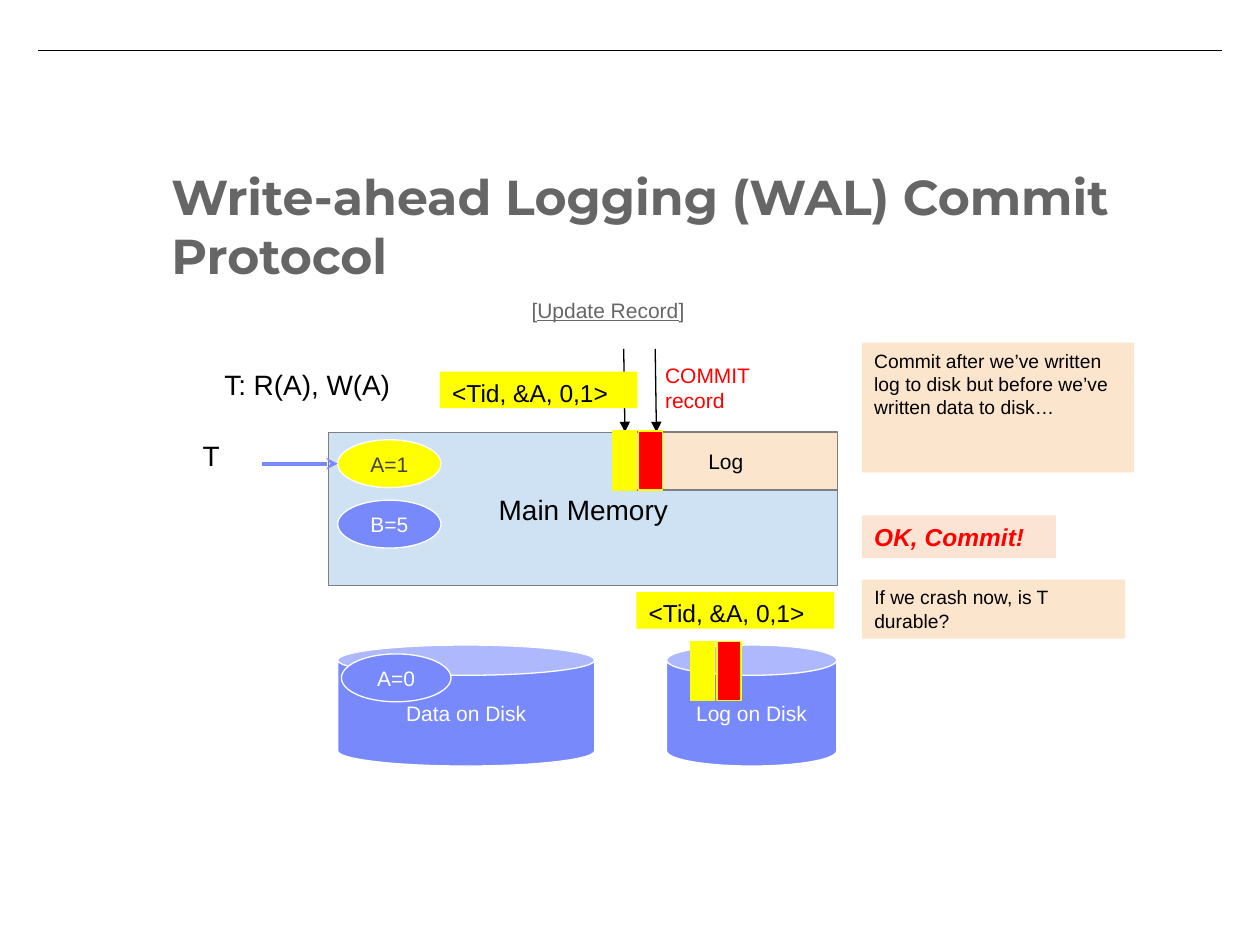
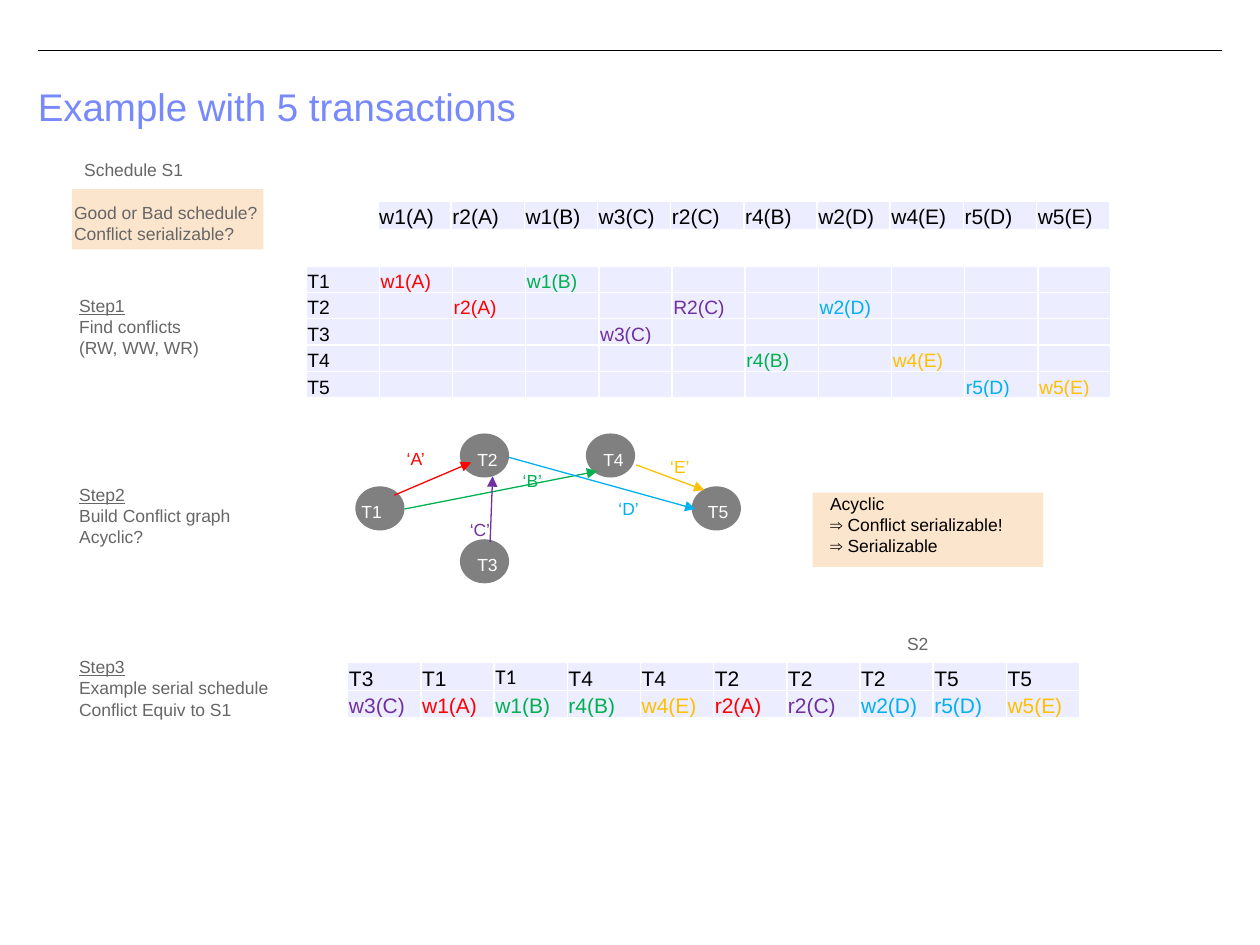
from lxml import etree
from pptx import Presentation
from pptx import util as u
from pptx.dml.color import RGBColor
from pptx.enum import shapes, text
from pptx.oxml.ns import qn

W, H = 10, 7.5
HEX = dict(black="000000", white="FFFFFF", grey="666666", dark="434343", node="808080",
           edge="7F7F7F", blue="7889FB", sky="CFE2F3", peach="FCE5CD", rose="FBE4D4",
           yellow="FFFF00", red="FF0000", green="00B050", purple="7030A0",
           cyan="00B0F0", gold="FFC000", cell="ECEDFE")
KIND = shapes.MSO_SHAPE
TOP, MID, LOW = text.MSO_ANCHOR.TOP, text.MSO_ANCHOR.MIDDLE, text.MSO_ANCHOR.BOTTOM
LEFT, CENTER = text.PP_ALIGN.LEFT, text.PP_ALIGN.CENTER

# ---- Slide 1 content: (outline, box, fill, line, text, format); bars underline text
WAL_TITLE = "Write-ahead Logging (WAL) Commit Protocol"
MID_TEXT = dict(size=12, anchor=MID, align=CENTER)
ON_BLUE = dict(MID_TEXT, color="white")
HEADING = dict(size=16, align=CENTER)
NOTE = dict(size=11)
ENTRY = "<Tid, &A, 0,1>"
NOTE_X, OVAL_X, OVAL_W, OVAL_H = 6.84, 2.68, 0.82, 0.38
DISK_Y, DISK_H, MEM_Y = 5.12, 0.96, 3.43
MEMORY = [
    (KIND.CAN, (OVAL_X, DISK_Y, 2.04, DISK_H), "blue", "white", "Data on Disk", ON_BLUE),
    (KIND.RECTANGLE, (2.61, MEM_Y, 4.04, 1.22), "sky", "edge", "Main Memory",
     dict(MID_TEXT, size=16)),
    (KIND.CAN, (5.29, DISK_Y, 1.35, DISK_H), "blue", "white", "Log on Disk", ON_BLUE),
    (KIND.RECTANGLE, (4.87, MEM_Y, 1.78, 0.46), "peach", "edge", "Log", MID_TEXT),
    (None, (1.26, MEM_Y, 0.89, 0.37), None, None, "T ", HEADING),
    (KIND.OVAL, (OVAL_X, 3.49, OVAL_W, OVAL_H), "yellow", "white", "A=1",
     dict(MID_TEXT, color="dark")),
    (KIND.OVAL, (OVAL_X, 3.97, OVAL_W, OVAL_H), "blue", "white", "B=5", ON_BLUE),
    (KIND.OVAL, (2.71, 5.19, 0.87, OVAL_H), "blue", "white", "A=0", ON_BLUE),
    (None, (1.26, 2.87, 2.42, 0.37), None, None, "T: R(A), W(A) ", HEADING),
    (KIND.RECTANGLE, (NOTE_X, 2.72, 2.16, 1.03), "peach", None,
     "Commit after we’ve written log to disk but before we’ve written data to disk…", NOTE),
    (KIND.RECTANGLE, (NOTE_X, 4.6, 2.09, 0.47), "peach", None,
     "If we crash now, is T durable?", NOTE),
    (KIND.RECTANGLE, (NOTE_X, 4.09, 1.54, 0.34), "rose", None, "OK, Commit!",
     dict(size=14, color="red", bold=True, italic=True)),
]
WAL_ARROWS = [  # start, end, colour, width, head
    ((2.08, 3.68), (OVAL_X, 3.68), "blue", 2.25, "stealth"),
    ((4.95, 2.77), (4.96, MEM_Y), "black", 0.75, "triangle"),
    ((5.2, 2.77), (5.21, MEM_Y), "black", 0.75, "triangle"),
]
WAL_LABELS = [
    (None, (5.18, 2.83, 1.12, 0.3), None, None, "COMMIT record", dict(size=12, color="red")),
    (None, (4.12, 2.31, 1.78, 0.29), None, None, "[|Update Record|]",
     dict(size=12, color="grey")),
]
ENTRIES = [(3.49, 2.95), (5.05, 4.7)]
RECORD_PAIRS = [(4.86, 3.42), (5.48, 5.09)]
RECORD_STEP = 0.21

# ---- Slide 2 content
TX_TITLE = "Example with 5 transactions"
ITEM_COLOR = dict(A="red", B="green", C="purple", D="cyan", E="gold")
S1 = "w1(A) r2(A) w1(B) w3(C) r2(C) r4(B) w2(D) w4(E) r5(D) w5(E)".split()
S2 = "w3(C) w1(A) w1(B) r4(B) w4(E) r2(A) r2(C) w2(D) r5(D) w5(E)".split()
GRID_SPELLING = {"r2(C)": "R2(C)"}
TRANSACTIONS = ["T1", "T2", "T3", "T4", "T5"]
COL_W = 5.81 / len(S1)
NODE_W, NODE_H = 0.39, 0.35
NODES = {  # place, shift of the name
    "T1": (2.82, 3.86, -0.05), "T2": (3.65, 3.44, 0.04), "T3": (3.65, 4.28, 0.04),
    "T4": (4.65, 3.44, 0.04), "T5": (5.49, 3.86, 0.03),
}
EDGES = {  # start, end, label box
    "A": ((3.13, 3.93), (3.74, 3.67), (3.13, 3.54, 0.36, 0.2)),
    "B": ((3.21, 4.04), (4.74, 3.74), (4.05, 3.71, 0.36, 0.2)),
    "C": ((3.89, 4.3), (3.91, 3.78), (3.63, 4.12, 0.45, 0.17)),
    "D": ((4.04, 3.63), (5.52, 4.04), (4.81, 3.95, 0.45, 0.17)),
    "E": ((5.05, 3.69), (5.59, 3.89), (5.22, 3.62, 0.45, 0.17)),
}
SMALL = dict(size=10, pad=0.1)
STEP = dict(SMALL, color="grey")
STEP_X = 0.53
STEPS = [
    (None, (0.57, 1.16, 2.43, 0.29), None, None, "Schedule S1", STEP),
    (None, (STEP_X, 2.24, 2.43, 0.29), None, None,
     "|Step1|\nFind conflicts\n(RW, WW, WR)", STEP),
    (None, (STEP_X, 3.74, 1.68, 0.67), None, None,
     "|Step2|\nBuild Conflict graph\nAcyclic?", STEP),
    (None, (7.1, 4.92, 1.41, 0.41), None, None, "S2", STEP),
    (None, (STEP_X, 5.11, 1.83, 0.75), None, None,
     "|Step3|\nExample serial schedule\nConflict Equiv to S1", STEP),
    (KIND.RECTANGLE, (0.57, 1.5, 1.52, 0.48), "peach", None, "", {}),
    (None, (0.49, 1.5, 2.43, 0.29), None, None,
     "Good or Bad schedule?\nConflict serializable?", STEP),
    (KIND.RECTANGLE, (6.45, 3.91, 1.83, 0.59), "peach", None, "", {}),
    (None, (6.49, 3.91, 1.97, 0.51), None, None,
     "Acyclic\n⇒ Conflict serializable!\n⇒ Serializable", dict(SMALL, anchor=MID)),
]


def rgb(name):
    return RGBColor.from_string(HEX[name])


def inches(values):
    return [u.Inches(v) for v in values]


def set_font(font, size, color="black", name="Arial", **flags):
    values = dict(size=u.Pt(size), name=name, **flags)
    for key, value in values.items():
        setattr(font, key, value)
    font.color.rgb = rgb(color)


def write(tf, content, anchor=TOP, align=LEFT, pad=None, spacing=None, **font):
    """Fill a text frame; newlines part paragraphs, bars enclose underlined text."""
    side, top = (0.1, 0.05) if pad is None else (pad, pad)
    frame = dict(word_wrap=True, auto_size=text.MSO_AUTO_SIZE.NONE, vertical_anchor=anchor,
                 margin_left=u.Inches(side), margin_right=u.Inches(side),
                 margin_top=u.Inches(top), margin_bottom=u.Inches(top))
    for key, value in frame.items():
        setattr(tf, key, value)
    for i, line in enumerate(content.split("\n")):
        p = tf.paragraphs[0] if i == 0 else tf.add_paragraph()
        p.alignment = align
        if spacing:
            p.line_spacing = spacing
        for j, part in enumerate(line.split("|")):
            if part:
                r = p.add_run()
                r.text = part
                set_font(r.font, underline=j % 2 == 1, **font)


def add_item(s, outline, box, fill, line, content, fmt):
    """Add a preset shape, or a text box when there is no outline."""
    if outline is None:
        sp = s.shapes.add_textbox(*inches(box))
    else:
        sp = s.shapes.add_shape(outline, *inches(box))
        sp.shadow.inherit = False
        sp.fill.solid()
        sp.fill.fore_color.rgb = rgb(fill)
        if line:
            sp.line.color.rgb = rgb(line)
            sp.line.width = u.Pt(0.75)
        else:
            sp.line.fill.background()
    if content:
        write(sp.text_frame, content, **fmt)


def add_line(s, start, end, color, width=0.75, head=None):
    cx = s.shapes.add_connector(shapes.MSO_CONNECTOR.STRAIGHT, *inches(start + end))
    cx.line.color.rgb = rgb(color)
    cx.line.width = u.Pt(width)
    if head:
        etree.SubElement(cx.line._get_or_add_ln(), qn("a:tailEnd"), type=head)
    etree.SubElement(cx._element.spPr, qn("a:effectLst"))


def add_grid(s, left, top, row_h, rows, size):
    """Add a table whose cells are (text, colour) or (text, colour, font name)."""
    n = len(rows[0])
    box = inches((left, top, COL_W * n, row_h * len(rows)))
    table = s.shapes.add_table(len(rows), n, *box).table
    table.first_row = table.horz_banding = False
    for column in table.columns:
        column.width = u.Inches(COL_W)
    for row, entries in zip(table.rows, rows):
        row.height = u.Inches(row_h)
        for cell, (content, color, *name) in zip(row.cells, entries):
            cell.margin_left = cell.margin_right = cell.margin_top = u.Inches(0.01)
            cell.margin_bottom = 0
            cell.vertical_anchor = LOW
            for side in "LRTB":
                ln = etree.SubElement(cell._tc.tcPr, qn("a:ln" + side), w=str(u.Pt(1)))
                solid = etree.SubElement(ln, qn("a:solidFill"))
                etree.SubElement(solid, qn("a:srgbClr"), val=HEX["white"])
            cell.fill.solid()
            cell.fill.fore_color.rgb = rgb("cell")
            p = cell.text_frame.paragraphs[0]
            if content:
                r = p.add_run()
                r.text = content
                set_font(r.font, size, color, *name)
            else:
                etree.SubElement(p._p, qn("a:endParaRPr"), sz=str(size * 100))


def add_slide(prs, title, box, **fmt):
    """Start a title-only slide with the shared rule across its top."""
    s = prs.slides.add_slide(prs.slide_layouts[5])
    add_line(s, (0.03 * W, 0.4), (0.97 * W, 0.4), "black")
    sp = s.shapes.title
    sp.left, sp.top, sp.width, sp.height = inches(box)
    write(sp.text_frame, title, **fmt)
    return s


def build_wal(prs):
    s = add_slide(prs, WAL_TITLE, (1.26, 1.22, 8.5, 1.27), size=28, color="grey",
                  name="Montserrat", bold=True, pad=0.1)
    for item in MEMORY:
        add_item(s, *item)
    for arrow in WAL_ARROWS:
        add_line(s, *arrow)
    for item in WAL_LABELS:
        add_item(s, *item)
    for x, y in ENTRIES:
        add_item(s, KIND.RECTANGLE, (x, y, 1.57, 0.29), "yellow", None, ENTRY, dict(size=14))
    for x, y in RECORD_PAIRS:
        for i, fill in enumerate(("yellow", "red")):
            box = (x + i * RECORD_STEP, y, 0.19, 0.47)
            add_item(s, KIND.RECTANGLE, box, fill, "yellow", "", {})


def op_cell(op):
    return op, ITEM_COLOR[op[3]]


def build_transactions(prs):
    s = add_slide(prs, TX_TITLE, (0.2, 0.65, 9.5, 0.5), size=22, color="blue", spacing=0.9)
    for name, (x, y, shift) in NODES.items():
        add_item(s, KIND.OVAL, (x, y, NODE_W, NODE_H), "node", None, "", {})
        add_item(s, None, (x + shift, y + 0.02, 0.45, 0.32), None, None, name,
                 dict(SMALL, color="white"))
    for item, (start, end, box) in EDGES.items():
        color = ITEM_COLOR[item]
        add_line(s, start, end, color, head="triangle")
        add_item(s, None, box, None, None, f"‘{item}’", dict(SMALL, color=color, anchor=MID))
    for step in STEPS:
        add_item(s, *step)

    blank = ("", "black")
    by_transaction = [
        [(t, "black")] + [op_cell(GRID_SPELLING.get(op, op)) if op[1] == t[1] else blank
                          for op in S1]
        for t in TRANSACTIONS]
    add_grid(s, 2.43, 2.11, 0.21, by_transaction, 11)
    add_grid(s, 3, 1.6, 0.22, [[(op, "black") for op in S1]], 12)
    owners = [("T" + op[1], "black") for op in S2]
    owners[2] += ("Calibri",)
    add_grid(s, 2.76, 5.26, 0.22, [owners, [op_cell(op) for op in S2]], 12)


def main():
    prs = Presentation()
    prs.slide_width, prs.slide_height = inches((W, H))
    build_wal(prs)
    build_transactions(prs)
    prs.save("out.pptx")


if __name__ == "__main__":
    main()
